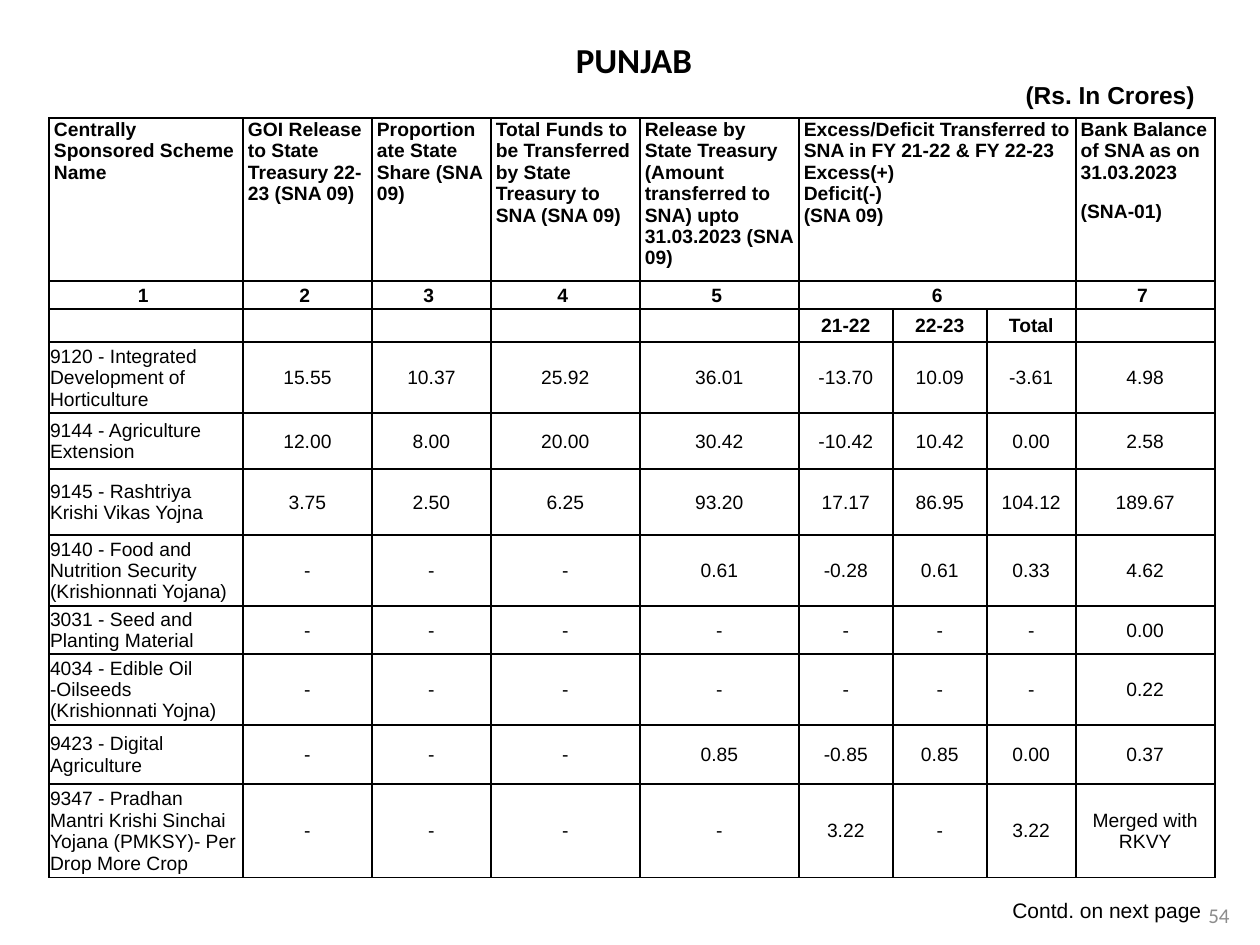
from dataclasses import dataclass

from lxml.etree import SubElement
from pptx import Presentation
from pptx.dml.color import RGBColor
from pptx.enum.text import MSO_ANCHOR as Anchor, PP_ALIGN as Align
from pptx.oxml.ns import qn
from pptx.util import Emu, Pt

PX = 914400 // 126  # EMU per px, 126 px to the inch
BLACK = RGBColor(0x00, 0x00, 0x00)
GREY = RGBColor(0x8C, 0x8C, 0x8C)

COLUMN_WIDTHS = [194, 129, 119, 149, 159, 94, 94, 89, 139]
ROW_HEIGHTS = [163, 28, 33, 71, 56, 66, 71, 48, 71, 59, 94]
YEARS_COLUMN = 5  # first of the three excess/deficit columns

HEADINGS = {
    0: ["Centrally Sponsored Scheme Name"],
    1: ["GOI Release to State Treasury 22-23 (SNA 09)"],
    2: ["Proportionate State Share (SNA 09)"],
    3: ["Total Funds to be Transferred by State Treasury to SNA (SNA 09)"],
    4: ["Release by State Treasury (Amount transferred to SNA) upto 31.03.2023 (SNA 09)"],
    5: ["Excess/Deficit Transferred to SNA in FY 21-22 & FY 22-23",
        "Excess(+)", "Deficit(-)", "(SNA 09)"],
    8: ["Bank Balance of SNA as on 31.03.2023", "(SNA-01)"],
}
COLUMN_NUMBERS = {0: "1 ", 1: "2 ", 2: "3 ", 3: "4 ", 4: "5 ", 5: "6", 8: "7 "}
YEARS = ["21-22", "22-23", "Total"]
SCHEMES = [
    ["9120 - Integrated Development of Horticulture",
     "15.55", "10.37", "25.92", "36.01", "-13.70", "10.09", "-3.61", "4.98"],
    ["9144 - Agriculture Extension",
     "12.00", "8.00", "20.00", "30.42", "-10.42", "10.42", "0.00", "2.58"],
    ["9145 - Rashtriya Krishi Vikas Yojna",
     "3.75", "2.50", "6.25", "93.20", "17.17", "86.95", "104.12", "189.67"],
    ["9140 - Food and Nutrition Security (Krishionnati Yojana)",
     "-", "-", "-", "0.61", "-0.28", "0.61", "0.33", "4.62"],
    ["3031 - Seed and Planting Material",
     "-", "-", "-", "-", "-", "-", "-", "0.00"],
    ["4034 - Edible Oil -Oilseeds (Krishionnati Yojna)",
     "-", "-", "-", "-", "-", "-", "-", "0.22"],
    ["9423 - Digital Agriculture",
     "-", "-", "-", "0.85", "-0.85", "0.85", "0.00", "0.37"],
    ["9347 - Pradhan Mantri Krishi Sinchai Yojana (PMKSY)- Per Drop More Crop",
     "-", "-", "-", "-", "3.22", "-", "3.22", "Merged with RKVY"],
]


@dataclass(frozen=True)
class Style:
    size: int = 11
    font: str = "Arial"
    color: RGBColor = BLACK
    bold: bool = False
    align: Align = Align.LEFT
    space_after: int = 0
    line_spacing: float = 1.0


@dataclass(frozen=True)
class Label:
    left: int
    top: int
    width: int
    height: int
    lines: tuple[tuple[str, Style], ...]
    anchor: Anchor = Anchor.TOP
    wrap: bool = True


HEADING = Style(bold=True, space_after=10)
HEADING_TIGHT = Style(bold=True)
NUMBER = Style(bold=True, align=Align.CENTER, space_after=10, line_spacing=1.15)
YEAR = Style(bold=True, align=Align.CENTER)
SCHEME = Style()
VALUE = Style(align=Align.CENTER)

LABELS = [
    Label(54, 32, 1160, 84, (
        ("PUNJAB", Style(20, "Calibri", bold=True, align=Align.CENTER)),
        ("(Rs. In Crores) ", Style(14, bold=True, align=Align.RIGHT)))),
    Label(1194, 890, 50, 50, (
        ("54", Style(12, "Calibri", GREY, align=Align.CENTER)),), Anchor.MIDDLE),
    Label(999, 891, 216, 38, (
        ("Contd. on next page", Style(12, align=Align.CENTER)),), Anchor.MIDDLE, False),
]


def write(frame, lines) -> None:
    for index, (text, style) in enumerate(lines):
        paragraph = frame.add_paragraph() if index else frame.paragraphs[0]
        paragraph.alignment = style.align
        paragraph.space_after = Pt(style.space_after)
        paragraph.line_spacing = style.line_spacing
        run = paragraph.add_run()
        run.text = text
        run.font.size = Pt(style.size)
        run.font.name = style.font
        run.font.bold = style.bold
        run.font.color.rgb = style.color


def add_label(slide, label: Label) -> None:
    box = slide.shapes.add_textbox(*(Emu(n * PX) for n in (
        label.left, label.top, label.width, label.height)))
    frame = box.text_frame
    frame.word_wrap = label.wrap
    frame.vertical_anchor = label.anchor
    write(frame, label.lines)


def format_cell(cell, side_margin: int) -> None:
    cell.margin_left = cell.margin_right = Emu(side_margin * PX)
    cell.margin_top, cell.margin_bottom = Emu(PX), Emu(0)
    cell.fill.background()
    properties = cell._tc.get_or_add_tcPr()
    for position, side in enumerate(("a:lnL", "a:lnR", "a:lnT", "a:lnB")):
        line = SubElement(properties, qn(side), w=str(Pt(1)))
        fill = SubElement(line, qn("a:solidFill"))
        SubElement(fill, qn("a:srgbClr"), val=str(BLACK))
        properties.insert(position, line)
    # Small end mark, so that empty cells do not stretch their row
    last = cell.text_frame.paragraphs[-1]._p
    SubElement(last, qn("a:endParaRPr"), sz=str(SCHEME.size * 100))


def add_scheme_table(slide) -> None:
    table = slide.shapes.add_table(
        len(ROW_HEIGHTS), len(COLUMN_WIDTHS), Emu(49 * PX), Emu(118 * PX),
        Emu(sum(COLUMN_WIDTHS) * PX), Emu(sum(ROW_HEIGHTS) * PX)).table
    table.first_row = table.horz_banding = False
    for column, width in zip(table.columns, COLUMN_WIDTHS):
        column.width = Emu(width * PX)
    for row, height in zip(table.rows, ROW_HEIGHTS):
        row.height = Emu(height * PX)

    # Headings, column numbers and years
    for column, lines in HEADINGS.items():
        style = HEADING_TIGHT if column == YEARS_COLUMN else HEADING
        write(table.cell(0, column).text_frame, [(line, style) for line in lines])
    for column, number in COLUMN_NUMBERS.items():
        write(table.cell(1, column).text_frame, [(number, NUMBER)])
    for column, year in enumerate(YEARS, YEARS_COLUMN):
        write(table.cell(2, column).text_frame, [(year, YEAR)])

    # Schemes
    for row, scheme in enumerate(SCHEMES, 3):
        for column, text in enumerate(scheme):
            style = VALUE if column else SCHEME
            write(table.cell(row, column).text_frame, [(text, style)])

    # Cell format and spans
    for row in range(len(ROW_HEIGHTS)):
        for column in range(len(COLUMN_WIDTHS)):
            cell = table.cell(row, column)
            format_cell(cell, 5 if row < 2 else 1)
            cell.vertical_anchor = Anchor.TOP if row < 2 else Anchor.MIDDLE
    for row in range(2):
        table.cell(row, YEARS_COLUMN).merge(table.cell(row, YEARS_COLUMN + 2))


def main() -> None:
    deck = Presentation()
    deck.slide_width, deck.slide_height = Emu(1260 * PX), Emu(945 * PX)
    slide = deck.slides.add_slide(deck.slide_layouts[6])
    title, page_number, continued = LABELS
    add_label(slide, title)
    add_scheme_table(slide)
    add_label(slide, page_number)
    add_label(slide, continued)
    deck.save("out.pptx")


if __name__ == "__main__":
    main()
